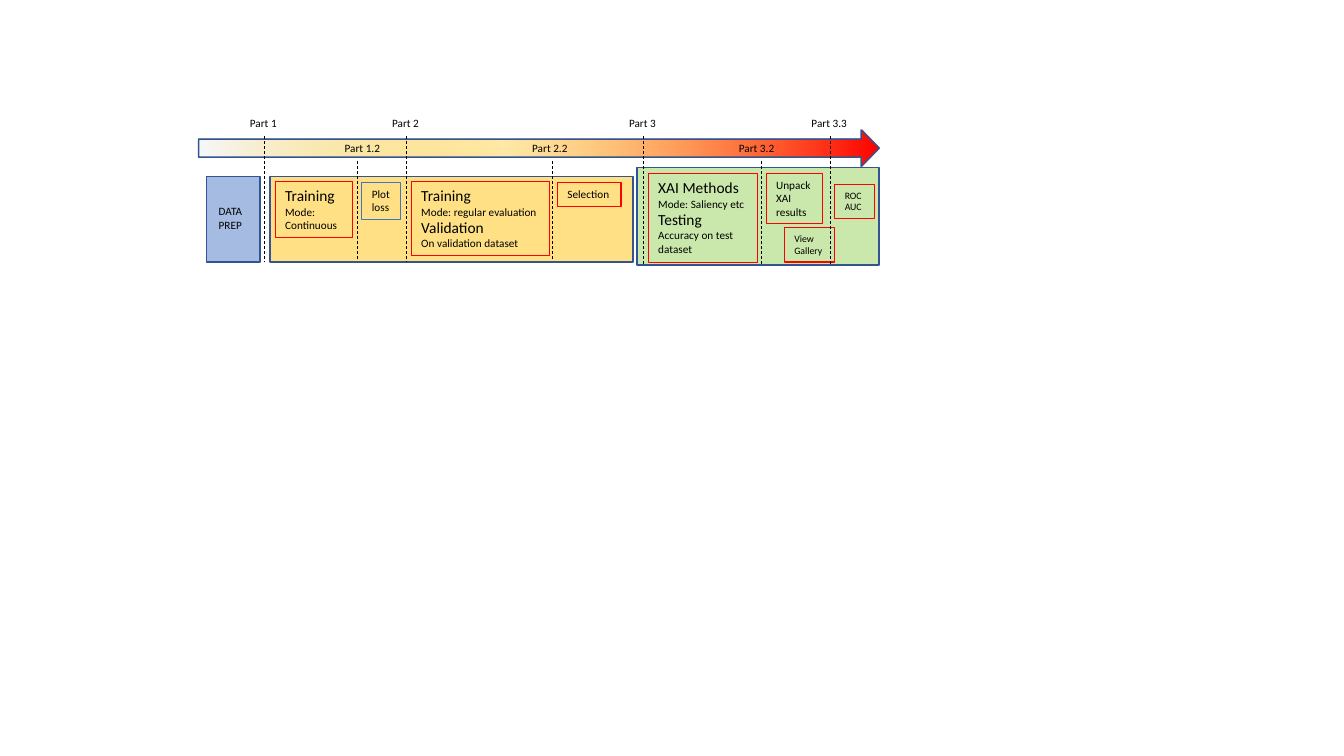
from lxml.etree import SubElement
from pptx import Presentation
from pptx.dml.color import RGBColor
from pptx.enum.dml import MSO_LINE_DASH_STYLE as Dash
from pptx.enum.shapes import MSO_CONNECTOR as Connector, MSO_SHAPE as Preset
from pptx.enum.text import MSO_ANCHOR as Anchor, MSO_AUTO_SIZE as AutoSize
from pptx.oxml.ns import qn
from pptx.util import Inches, Pt

BLACK = RGBColor(0x00, 0x00, 0x00)
NAVY = RGBColor(0x32, 0x54, 0x91)
BLUE = RGBColor(0x44, 0x72, 0xC4)
RED = RGBColor(0xFF, 0x00, 0x00)
AMBER = RGBColor(0xFF, 0xC0, 0x00)
GREEN = RGBColor(0x92, 0xD0, 0x50)
PALE = RGBColor(0xF6, 0xF8, 0xFC)

HEADING, BODY, SMALL = 11, 8, 7

TIMELINE = (1.97, 1.29, 6.75, 0.36)
MILESTONES = [("Part 1", 0.65, 0.48, 1.31), ("Part 2", 2.06, 0.48, 1.31),
              ("Part 3", 4.41, 0.48, 1.34), ("Part 3.3", 6.27, 0.58, 1.34)]
SUBPARTS = [("Part 1.2", 1.57, 1.35, 1.3), ("Part 2.2", 3.51, 3.21, 1.3),
            ("Part 3.2", 5.58, 5.26, 1.34)]

PREPARATION = [((0.02, 0.23, 0.49, 0.37), None, [("DATA PREP", BODY)])]
TRAINING = [
    ((0.05, 0.05, 0.77, 0.56), RED, [("Training", HEADING), ("Mode: Continuous", BODY)]),
    ((1.4, 0.05, 1.37, 0.74), RED, [("Training", HEADING), ("Mode: regular evaluation", BODY),
                                    ("Validation", HEADING), ("On validation dataset", BODY)]),
    ((0.91, 0.06, 0.38, 0.37), BLUE, [("Plot loss", BODY)]),
    ((2.85, 0.06, 0.63, 0.24), RED, [("Selection", BODY)]),
]
TESTING = [
    ((0.11, 0.06, 1.08, 0.88), RED, [("XAI Methods", HEADING), ("Mode: Saliency etc", BODY),
                                     ("Testing", HEADING), ("Accuracy on test dataset", BODY)]),
    ((1.28, 0.06, 0.56, 0.5), RED, [("Unpack XAI results", BODY)]),
    ((1.46, 0.6, 0.5, 0.34), RED, [("View Gallery", SMALL)]),
    ((1.96, 0.17, 0.39, 0.34), RED, [("ROC AUC", SMALL)]),
]


def add_color(parent, color, opacity=100):
    """Append an RGB colour with an opacity in percent."""
    node = SubElement(parent, qn("a:srgbClr"), val=str(color))
    if opacity < 100:
        SubElement(node, qn("a:alpha"), val=str(opacity * 1000))


def add_panel(page, preset, box):
    """Add a navy-edged shape without a shadow."""
    panel = page.shapes.add_shape(preset, *map(Inches, box))
    panel.shadow.inherit = False
    panel.line.color.rgb = NAVY
    panel.line.width = Pt(1)
    return panel


def add_text(page, box, lines, border=None):
    """Add a text box with sized lines and an optional border."""
    label = page.shapes.add_textbox(*map(Inches, box))
    if border is not None:
        label.line.color.rgb = border
        label.line.width = Pt(0.75)
    frame = label.text_frame
    frame.word_wrap = True
    frame.auto_size = AutoSize.SHAPE_TO_FIT_TEXT
    frame.vertical_anchor = Anchor.TOP
    for index, (text, size) in enumerate(lines):
        para = frame.add_paragraph() if index else frame.paragraphs[0]
        para.text = text
        para.font.name = "Calibri"
        para.font.size = Pt(size)
        para.font.color.rgb = BLACK


def add_divider(page, x, top, bottom):
    """Draw a vertical dashed line."""
    divider = page.shapes.add_connector(
        Connector.STRAIGHT, Inches(x), Inches(top), Inches(x), Inches(bottom))
    divider.line.color.rgb = BLACK
    divider.line.width = Pt(0.5)
    divider.line.dash_style = Dash.DASH
    SubElement(divider._element.spPr, qn("a:effectLst"))


def add_arrow(page, box):
    """Draw the timeline arrow shading from pale through amber to red."""
    arrow = add_panel(page, Preset.RIGHT_ARROW, box)
    arrow.fill.gradient()
    arrow.fill.gradient_angle = 0
    stops = arrow._element.spPr.find(qn("a:gradFill")).find(qn("a:gsLst"))
    stops.clear()
    for position, color, opacity in [(0, PALE, 100), (45, AMBER, 34), (100, RED, 100)]:
        stop = SubElement(stops, qn("a:gs"), pos=str(position * 1000))
        add_color(stop, color, opacity)


def add_stage(page, box, color, steps):
    """Draw a tinted stage and the step boxes within it."""
    stage = add_panel(page, Preset.RECTANGLE, box)
    stage.fill.solid()
    stage.fill.fore_color.rgb = color
    tint = stage._element.spPr.find(qn("a:solidFill"))[0]
    SubElement(tint, qn("a:alpha"), val="48000")
    left, top = box[:2]
    for (x, y, width, height), border, lines in steps:
        add_text(page, (left + x, top + y, width, height), lines, border)


def add_parts(page, box):
    """Mark the parts along the timeline with labels and dividers."""
    left, top = box[:2]
    for name, x, width, end in MILESTONES:
        add_divider(page, left + x, top + 0.06, top + end)
        add_text(page, (left + x - width / 2, top - 0.18, width, 0.24), [(name, BODY)])
    for name, x, label_x, end in SUBPARTS:
        add_divider(page, left + x, top + 0.31, top + end)
        add_text(page, (left + label_x, top + 0.06, 0.7, 0.24), [(name, BODY)])


def main():
    """Build the pipeline slide and save it."""
    deck = Presentation()
    deck.slide_width, deck.slide_height = Inches(13.33), Inches(7.5)
    page = deck.slides.add_slide(deck.slide_layouts[6])
    add_arrow(page, TIMELINE)
    add_stage(page, (2.05, 1.75, 0.53, 0.85), BLUE, PREPARATION)
    add_stage(page, (2.68, 1.75, 3.6, 0.85), AMBER, TRAINING)
    add_stage(page, (6.32, 1.66, 2.4, 0.97), GREEN, TESTING)
    add_parts(page, TIMELINE)
    deck.save("out.pptx")


if __name__ == "__main__":
    main()
